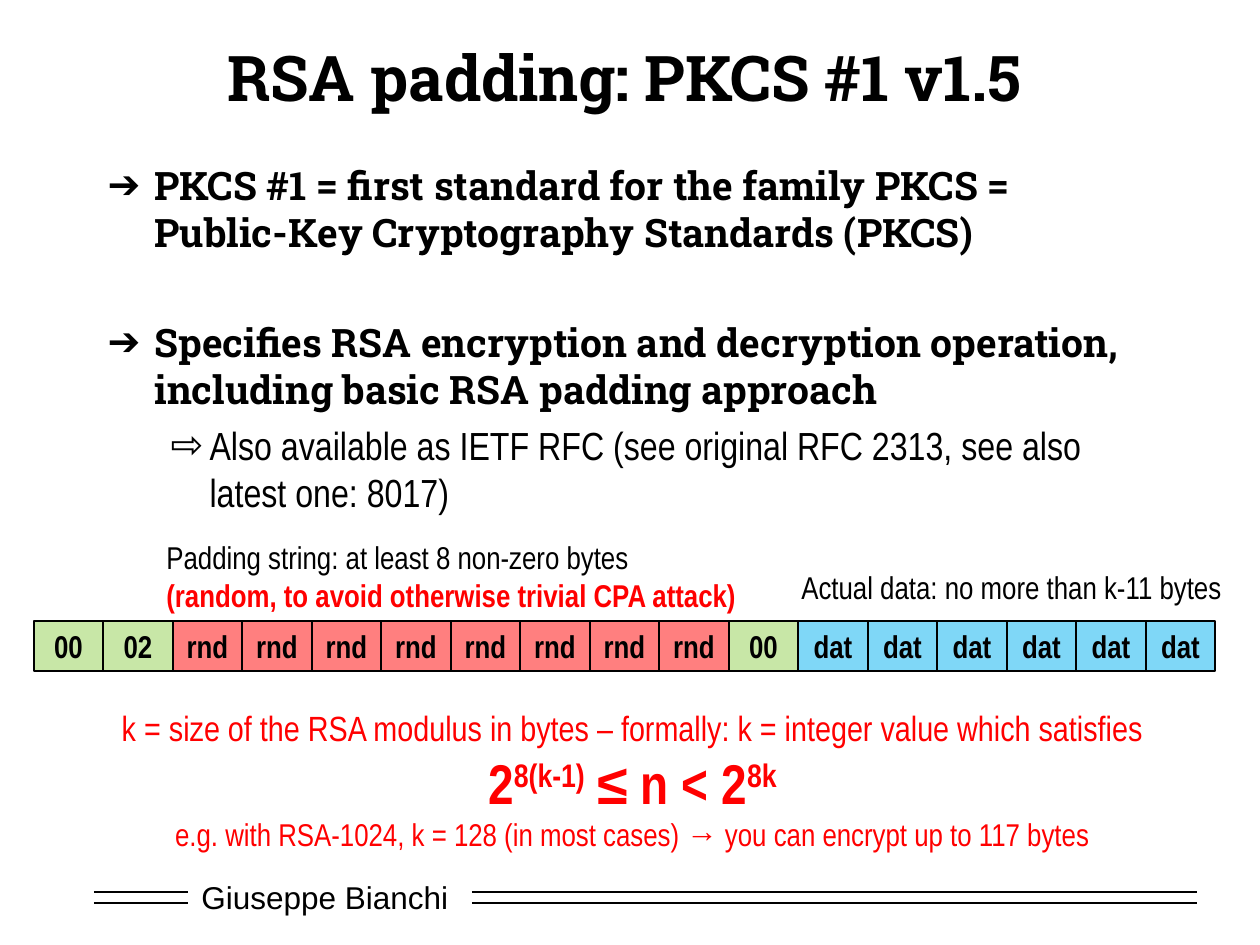
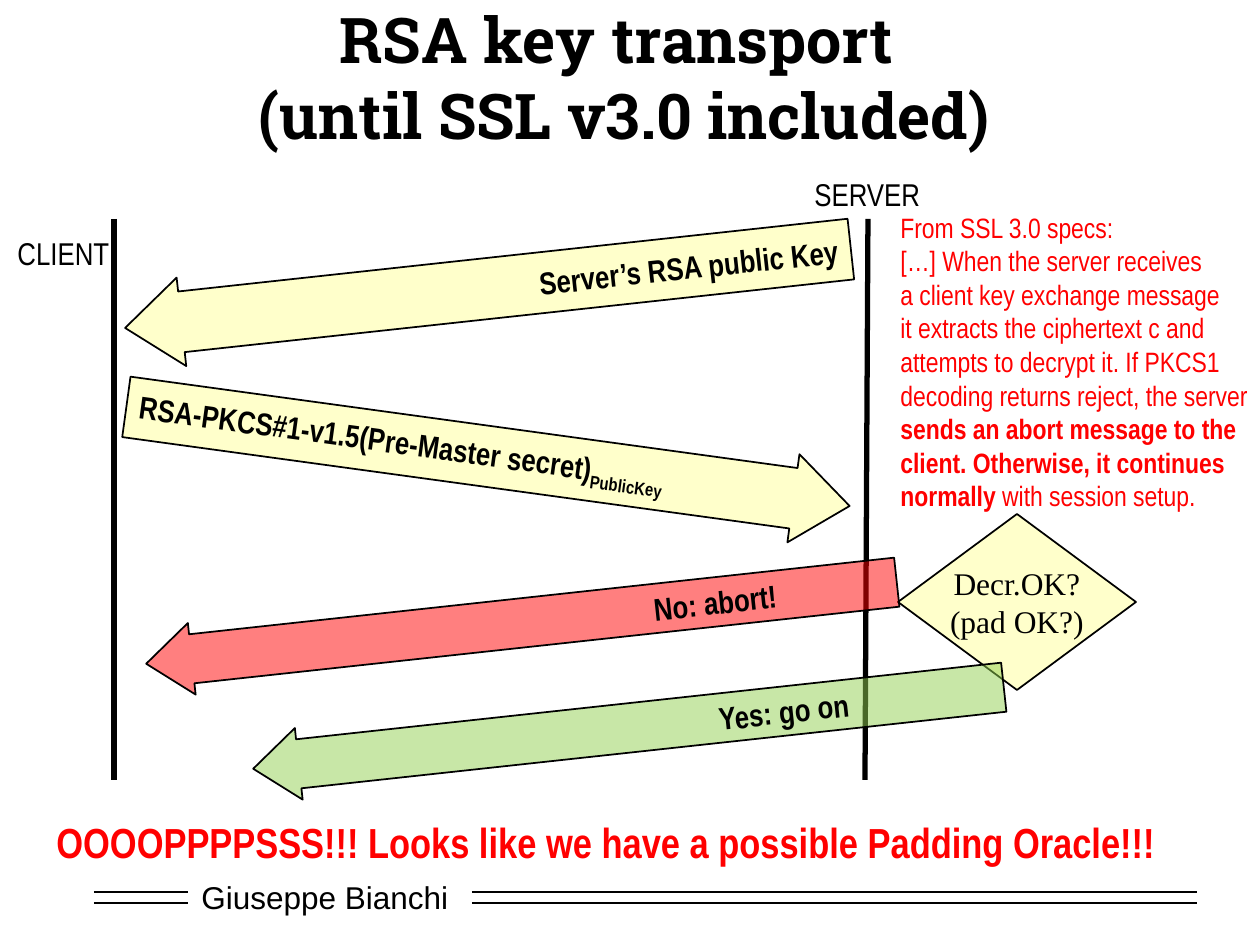
from lxml import etree
from pptx import Presentation
from pptx import util as u
from pptx.dml.color import RGBColor
from pptx.enum import shapes, text
from pptx.oxml.ns import qn

PX = 914400 / 126
COLORS = {
    "black": "000000", "white": "FFFFFF", "red": "FF0000",
    "green": "92D050", "blue": "00B0F0", "yellow": "FFFF99",
}
SLAB, NARROW, SANS, SERIF = "Roboto Slab", "Arial Narrow", "Arial", "Times New Roman"
LEFT, CENTER, RIGHT = text.PP_ALIGN.LEFT, text.PP_ALIGN.CENTER, text.PP_ALIGN.RIGHT
MIDDLE, TOP = text.MSO_ANCHOR.MIDDLE, text.MSO_ANCHOR.TOP
SHAPE = shapes.MSO_SHAPE


def px(n):
    """Turn px into EMU."""
    return u.Emu(round(n * PX))


def rgb(name):
    """Look up a named colour."""
    return RGBColor.from_string(COLORS[name])


def style_run(r, size=18, font=NARROW, color="black", bold=False, base=0):
    """Format one run; base is the super- or subscript offset in percent."""
    r.font.size = u.Pt(size)
    r.font.name = font
    r.font.color.rgb = rgb(color)
    r.font.bold = bold
    if base:
        r.font._element.set("baseline", str(base * 1000))


def style_paragraph(p, align=LEFT, **style):
    """Align a paragraph and format its runs."""
    p.alignment = align
    for r in p.runs:
        style_run(r, **style)


def append_run(p, words, **style):
    """Add a formatted run to the end of a paragraph."""
    r = p.add_run()
    r.text = words
    style_run(r, **style)


def write(tf, words, align=LEFT, **style):
    """Fill a text frame with evenly formatted paragraphs."""
    tf.text = words
    for p in tf.paragraphs:
        style_paragraph(p, align, **style)


def place(sp, box):
    """Move a shape to a px box."""
    sp.left, sp.top, sp.width, sp.height = map(px, box)


def add_label(s, box, words, **style):
    """Add an unwrapped text box."""
    tf = s.shapes.add_textbox(*map(px, box)).text_frame
    tf.word_wrap = False
    tf.auto_size = text.MSO_AUTO_SIZE.SHAPE_TO_FIT_TEXT
    write(tf, words, **style)
    return tf


def add_block(s, kind, box, fill, words, insets=(13, 13), wrap=True, **style):
    """Add a half-transparent outlined shape with text."""
    sp = s.shapes.add_shape(kind, *map(px, box))
    sp.shadow.inherit = False
    sp.fill.solid()
    sp.fill.fore_color.rgb = rgb(fill)
    color = sp.element.spPr.find(qn("a:solidFill"))[0]
    etree.SubElement(color, qn("a:alpha"), val="50000")
    sp.line.color.rgb = rgb("black")
    sp.line.width = u.Pt(1)
    tf = sp.text_frame
    tf.word_wrap = wrap
    tf.vertical_anchor = MIDDLE
    tf.margin_left, tf.margin_right = map(px, insets)
    tf.margin_top = tf.margin_bottom = 0
    write(tf, words, **style)
    return sp


def add_line(s, x1, y1, x2, y2, width):
    """Add a straight black line."""
    ln = s.shapes.add_connector(shapes.MSO_CONNECTOR.STRAIGHT, *map(px, (x1, y1, x2, y2)))
    ln.line.color.rgb = rgb("black")
    ln.line.width = u.Pt(width)
    etree.SubElement(ln.element.spPr, qn("a:effectLst"))


def add_footer(s, box):
    """Add the author's name between pairs of rules."""
    x, y, w, h = box
    for rule_y in (y + 20, y + 31):
        add_line(s, x, rule_y, x + 94, rule_y, 1)
        add_line(s, x + 378, rule_y, x + w, rule_y, 1)
    tf = add_label(s, (x + 95, y, 273, h), "Giuseppe Bianchi", font=SANS)
    tf.vertical_anchor = MIDDLE


def new_slide(prs, layout, title):
    """Add a slide with the shared title style and footer."""
    s = prs.slides.add_slide(prs.slide_layouts[layout])
    sp = s.shapes.title
    place(sp, (94, 32, 1061, 89))
    tf = sp.text_frame
    tf.auto_size = text.MSO_AUTO_SIZE.NONE
    tf.vertical_anchor = MIDDLE
    write(tf, title, CENTER, size=36, font=SLAB, bold=True)
    add_footer(s, (94, 872, 1103, 50))
    return s


def add_bullets(sp, box, items):
    """Fill the body placeholder from (level, space before, text) items."""
    place(sp, box)
    tf = sp.text_frame
    tf.auto_size = text.MSO_AUTO_SIZE.NONE
    tf.vertical_anchor = TOP
    tf.text = "\n".join(words for _, _, words in items)
    looks = [("➔", 47, 47, SLAB, True), ("⇨", 102, 39, NARROW, False)]
    for p, (level, before, _) in zip(tf.paragraphs, items):
        mark, indent, hang, font, bold = looks[level]
        p.level = level
        p.space_before = u.Pt(before)
        style_paragraph(p, size=22.4, font=font, bold=bold)
        pPr = p._p.get_or_add_pPr()
        pPr.set("marL", str(px(indent)))
        pPr.set("indent", str(-px(hang)))
        clr = etree.SubElement(pPr, qn("a:buClr"))
        etree.SubElement(clr, qn("a:srgbClr"), val=COLORS["black"])
        etree.SubElement(pPr, qn("a:buChar"), char=mark)


def add_byte_row(s, box):
    """Draw the padded message as a row of equal byte cells."""
    x, y, w, h = box
    cells = [("00", "green"), ("02", "green"), *[("rnd", "red")] * 8,
             ("00", "green"), *[("dat", "blue")] * 6]
    edges = [x + round(i * w / len(cells)) for i in range(len(cells) + 1)]
    for (words, fill), left, right in zip(cells, edges, edges[1:]):
        add_block(s, SHAPE.RECTANGLE, (left, y, right - left, h), fill, words,
                  insets=(0, 0), align=CENTER, bold=True)
    tf = add_label(s, (x + 120, y - 89, 601, 89),
                   "Padding string: at least 8 non-zero bytes\n"
                   "(random, to avoid otherwise trivial CPA attack)")
    style_paragraph(tf.paragraphs[1], CENTER, color="red", bold=True)
    add_label(s, (x + 755, y - 59, 451, 50), "Actual data: no more than k-11 bytes")


def add_modulus_note(s, box):
    """Explain k with its formula and an example."""
    tf = add_label(s, box,
                   "k = size of the RSA modulus in bytes – formally: k = integer value which satisfies\n\n"
                   "e.g. with RSA-1024, k = 128 (in most cases) → you can encrypt up to 117 bytes",
                   align=CENTER, color="red")
    style_paragraph(tf.paragraphs[0], CENTER, size=20, color="red")
    for words, base in [("2", 0), ("8(k-1)", 30), (" ≤ n < 2", 0), ("8k", 30)]:
        append_run(tf.paragraphs[1], words, size=32, color="red", bold=True, base=base)


def add_message(s, kind, box, angle, fill, words, **options):
    """Draw a slanted message arrow."""
    sp = add_block(s, kind, box, fill, words, bold=True, **options)
    sp.adjustments[0], sp.adjustments[1] = 0.685, 0.637
    sp.rotation = angle
    return sp


def add_exchange(s, box):
    """Draw the client and server lifelines and their messages."""
    x, y, w, h = box
    add_label(s, (x - 109, y + 9, 117, 50), "CLIENT")
    add_label(s, (x + 688, y - 50, 132, 50), "SERVER")
    add_line(s, x + w, y, x + w - 3, y + h, 3)
    add_line(s, x, y, x, y + h, 3)
    back = dict(kind=SHAPE.LEFT_ARROW, angle=-6.2, align=RIGHT)
    add_message(s, box=(x + 9, y + 25, 730, 89), fill="yellow",
                words="Server’s RSA public Key", **back)
    sp = add_message(s, SHAPE.RIGHT_ARROW, (x + 9, y + 193, 730, 89), 7.8, "yellow",
                     "RSA-PKCS#1-v1.5(Pre-Master secret)")
    append_run(sp.text_frame.paragraphs[0], "PublicKey", bold=True, base=-25)
    add_block(s, SHAPE.FLOWCHART_DECISION, (x + w + 30, y + 295, 238, 176), "yellow",
              "Decr.OK?\n(pad OK?)", insets=(0, 0), wrap=False, align=CENTER, font=SERIF)
    add_message(s, box=(x + 30, y + 368, 755, 72), fill="red",
                words="No: abort!", insets=(13, 121), **back)
    add_message(s, box=(x + 137, y + 473, 755, 72), fill="green",
                words="Yes: go on", insets=(13, 156), **back)


def add_quote(s, box):
    """Quote the specification, with its key sentence in bold."""
    look = dict(size=16, color="red")
    tf = add_label(s, box,
                   "From SSL 3.0 specs:\n[…] When the server receives\n"
                   "a client key exchange message\nit extracts the ciphertext c and\n"
                   "attempts to decrypt it. If PKCS1\ndecoding returns reject, the server\n"
                   "sends an abort message to the\nclient. Otherwise, it continues\nnormally",
                   **look)
    for p in tf.paragraphs[-3:]:
        style_paragraph(p, bold=True, **look)
    append_run(tf.paragraphs[-1], " with session setup.", **look)


def padding_slide(prs):
    """Build the slide on the padding format."""
    s = new_slide(prs, 1, "RSA padding: PKCS #1 v1.5")
    add_bullets(s.placeholders[1], (95, 155, 1061, 348), [
        (0, 5, "PKCS #1 = first standard for the family PKCS = "
               "Public-Key Cryptography Standards (PKCS)"),
        (0, 36, "Specifies RSA encryption and decryption operation, "
                "including basic RSA padding approach"),
        (1, 5, "Also available as IETF RFC (see original RFC 2313, see also latest one: 8017)"),
    ])
    add_byte_row(s, (34, 621, 1181, 50))
    add_modulus_note(s, (106, 700, 1053, 161))


def transport_slide(prs):
    """Build the slide on the key transport exchange."""
    s = new_slide(prs, 5, "RSA key transport \v(until SSL v3.0 included)")
    add_exchange(s, (114, 219, 754, 561))
    add_label(s, (44, 810, 1158, 63),
              "OOOOPPPPSSS!!! Looks like we have a possible Padding Oracle!!!",
              size=24, color="red", bold=True)
    add_quote(s, (888, 204, 383, 318))


def main():
    """Build and save the presentation."""
    prs = Presentation()
    prs.slide_width, prs.slide_height = px(1260), px(945)
    padding_slide(prs)
    transport_slide(prs)
    prs.save("out.pptx")


if __name__ == "__main__":
    main()
